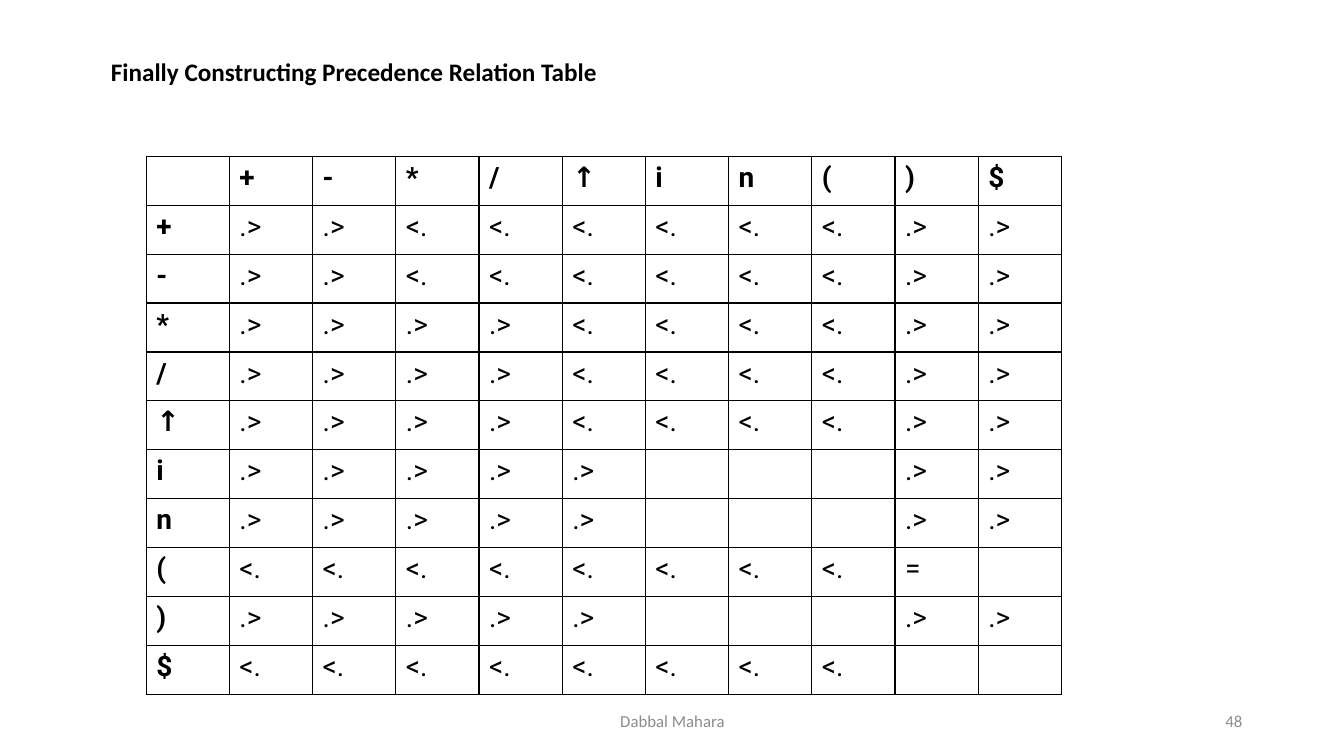
from dataclasses import dataclass

import lxml.etree
import pptx
import pptx.dml.color
import pptx.enum.text
import pptx.oxml.ns
import pptx.util

Inches = pptx.util.Inches
Align = pptx.enum.text.PP_ALIGN
Anchor = pptx.enum.text.MSO_ANCHOR


@dataclass(frozen=True)
class Theme:
    text_font: str = "Calibri"
    table_font: str = "Roboto"
    ink: str = "000000"
    muted: str = "8C8C8C"
    title_size: int = 18
    table_size: int = 20
    footer_size: int = 12
    border_width: float = 1


SYMBOLS = "+-*/↑in()$"
RELATIONS = {">": ".>", "<": "<.", "=": "=", " ": ""}
PRECEDENCE = {
    "+": ">><<<<<<>>",
    "-": ">><<<<<<>>",
    "*": ">>>><<<<>>",
    "/": ">>>><<<<>>",
    "↑": ">>>><<<<>>",
    "i": ">>>>>   >>",
    "n": ">>>>>   >>",
    "(": "<<<<<<<<= ",
    ")": ">>>>>   >>",
    "$": "<<<<<<<<  ",
}


class SlideBuilder:
    def __init__(self, slide, theme):
        self.slide = slide
        self.theme = theme

    def format_text(self, frame, font, size, color, bold=False, align=Align.LEFT):
        for para in frame.paragraphs:
            para.alignment = align
            for span in para.runs:
                span.font.name = font
                span.font.size = pptx.util.Pt(size)
                span.font.bold = bold
                span.font.color.rgb = pptx.dml.color.RGBColor.from_string(color)

    def title(self, text, left, top, width, height):
        box = self.slide.shapes.title
        box.left, box.top = Inches(left), Inches(top)
        box.width, box.height = Inches(width), Inches(height)
        frame = box.text_frame
        frame.text = text
        frame.word_wrap = True
        frame.vertical_anchor = Anchor.TOP
        self.format_text(frame, self.theme.text_font, self.theme.title_size,
                         self.theme.ink, bold=True)

    def footer(self, text, left, top, width, height, align):
        box = self.slide.shapes.add_textbox(
            Inches(left), Inches(top), Inches(width), Inches(height))
        frame = box.text_frame
        frame.text = text
        frame.word_wrap = True
        frame.vertical_anchor = Anchor.MIDDLE
        self.format_text(frame, self.theme.text_font, self.theme.footer_size,
                         self.theme.muted, align=align)

    def border(self, cell):
        qualified = pptx.oxml.ns.qn
        properties = cell._tc.get_or_add_tcPr()
        width = str(pptx.util.Pt(self.theme.border_width))
        for position, side in enumerate(("lnL", "lnR", "lnT", "lnB")):
            line = lxml.etree.Element(qualified(f"a:{side}"), w=width)
            fill = lxml.etree.SubElement(line, qualified("a:solidFill"))
            lxml.etree.SubElement(fill, qualified("a:srgbClr"), val=self.theme.ink)
            properties.insert(position, line)

    def table(self, rows, left, top, width, height):
        table = self.slide.shapes.add_table(
            len(rows), len(rows[0]), Inches(left), Inches(top),
            Inches(width), Inches(height)).table
        table.first_row = False
        table.horz_banding = False
        for row_index, row in enumerate(rows):
            for column_index, text in enumerate(row):
                cell = table.cell(row_index, column_index)
                cell.text_frame.text = text
                cell.fill.background()
                self.border(cell)
                is_heading = row_index == 0 or column_index == 0
                self.format_text(cell.text_frame, self.theme.table_font,
                                 self.theme.table_size, self.theme.ink, bold=is_heading)


def main():
    deck = pptx.Presentation()
    deck.slide_width, deck.slide_height = Inches(13.33), Inches(7.5)
    page = SlideBuilder(deck.slides.add_slide(deck.slide_layouts[5]), Theme())
    page.footer("Dabbal Mahara", 4.42, 6.95, 4.5, 0.4, Align.CENTER)
    page.footer("48", 9.42, 6.95, 3, 0.4, Align.RIGHT)
    page.title("Finally Constructing Precedence Relation Table", 1, 0.51, 6.13, 0.4)
    rows = [["", *SYMBOLS]]
    for symbol, codes in PRECEDENCE.items():
        rows.append([symbol, *(RELATIONS[code] for code in codes)])
    page.table(rows, 1.45, 1.55, 9.08, 5.34)
    deck.save("out.pptx")


if __name__ == "__main__":
    main()
